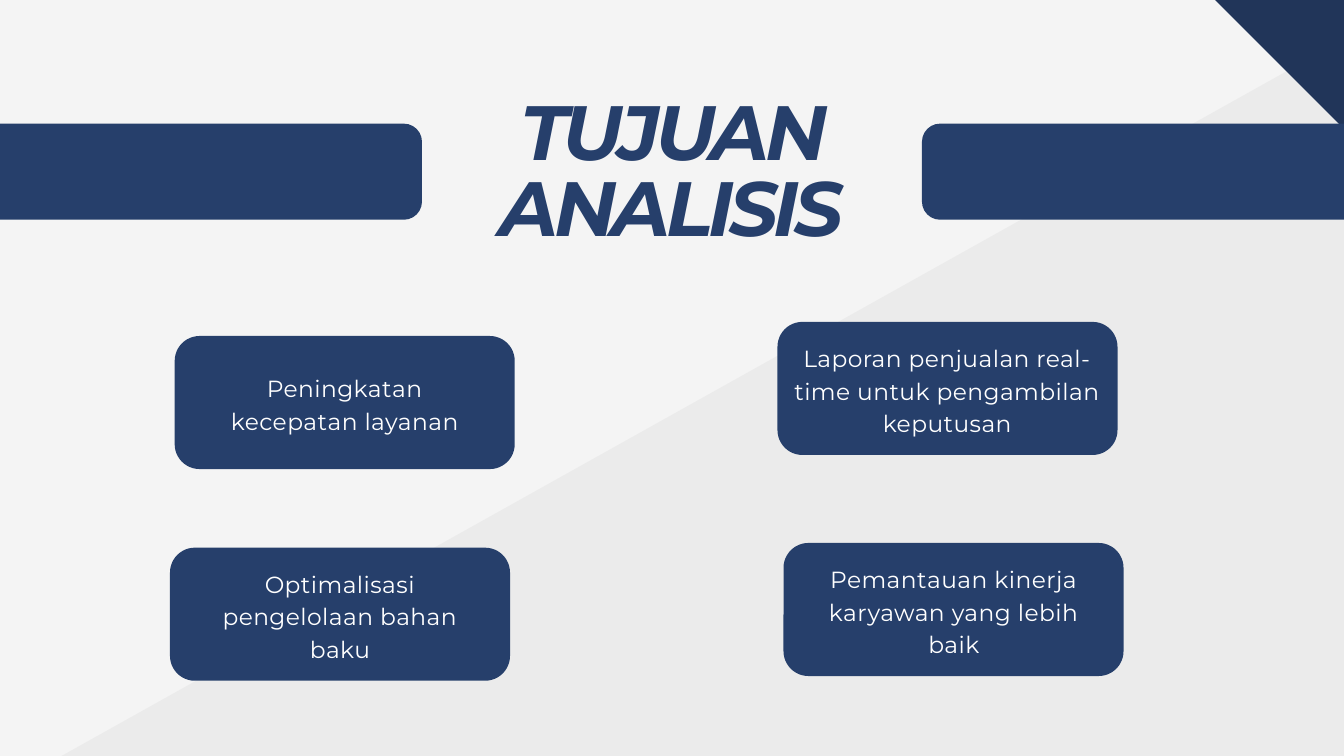
from lxml import etree
from pptx import Presentation
from pptx.dml.color import RGBColor
from pptx.enum.shapes import MSO_SHAPE
from pptx.enum.text import MSO_ANCHOR, MSO_AUTO_SIZE, PP_ALIGN
from pptx.oxml.ns import qn
from pptx.util import Inches, Pt

RECT, ROUNDED = MSO_SHAPE.RECTANGLE, MSO_SHAPE.ROUNDED_RECTANGLE
TOP, CENTER, NO_FIT = MSO_ANCHOR.TOP, PP_ALIGN.CENTER, MSO_AUTO_SIZE.NONE
COLORS = {"page": "F4F4F4", "shade": "545454", "corner": "213559",
          "navy": "263F6B", "white": "FFFFFF"}
TITLE_FONT = {"name": "Montserrat", "size": Pt(82.4), "bold": True, "italic": True}
CARD_FONT = {"name": "Montserrat", "size": Pt(25), "bold": False, "italic": False}
FRAME = {"margin_left": 0, "margin_right": 0, "margin_top": 0, "margin_bottom": 0,
         "word_wrap": True, "auto_size": NO_FIT, "vertical_anchor": TOP}


def add_block(kind, left, top, width, height, color, rotation=0, radius=0):
    sp = s.shapes.add_shape(kind, Inches(left), Inches(top), Inches(width), Inches(height))
    sp.shadow.inherit = False
    sp.fill.solid()
    sp.fill.fore_color.rgb = RGBColor.from_string(COLORS[color])
    sp.line.fill.background()
    sp.rotation = rotation
    if radius:
        sp.adjustments[0] = radius / height
    return sp


def write_text(sp, text, font, color, line_spacing, tracking):
    tf = sp.text_frame
    for name, value in FRAME.items():
        setattr(tf, name, value)
    p = tf.paragraphs[0]
    p.alignment = CENTER
    p.line_spacing = Pt(line_spacing)
    p.space_before = Pt(0)
    r = p.add_run()
    r.text = text
    for name, value in font.items():
        setattr(r.font, name, value)
    r.font.color.rgb = RGBColor.from_string(COLORS[color])
    r._r.get_or_add_rPr().set("spc", str(tracking))


prs = Presentation()
prs.slide_width, prs.slide_height = Inches(20), Inches(11.25)
s = prs.slides.add_slide(prs.slide_layouts[5])
s.background.fill.solid()
s.background.fill.fore_color.rgb = RGBColor.from_string(COLORS["page"])

shade = add_block(RECT, -2.82, 6.22, 28.2, 10.48, "shade", rotation=330.8)
shade_color = shade.fill._xPr.find(qn("a:solidFill"))[0]
etree.SubElement(shade_color, qn("a:alpha")).set("val", "5000")
add_block(RECT, 17.11, -1.36, 5.79, 2.72, "corner", rotation=45)

for left in (-2.75, 13.72):
    add_block(ROUNDED, left, 1.84, 9.03, 1.43, "navy", radius=0.27)

title = s.shapes.title
title.left, title.top = Inches(6.75), Inches(1.5)
title.width, title.height = Inches(6.49), Inches(2.29)
write_text(title, "TUJUAN ANALISIS", TITLE_FONT, "navy", 80.7, -480)

cards = [
    (2.6, 5, "Peningkatan kecepatan layanan", 3.04, 5.5, 4.18, 0.93),
    (2.53, 8.15, "Optimalisasi pengelolaan bahan baku", 2.97, 8.41, 4.18, 1.41),
    (11.66, 8.08, "Pemantauan kinerja karyawan yang lebih baik", 12.11, 8.34, 4.17, 1.41),
    (11.57, 4.79, "Laporan penjualan real-time untuk pengambilan keputusan",
     11.74, 5.05, 4.71, 1.41),
]
for left, top, text, *box in cards:
    add_block(ROUNDED, left, top, 5.06, 1.98, "navy", radius=0.37)
    label = s.shapes.add_textbox(*map(Inches, box))
    write_text(label, text, CARD_FONT, "white", 35, 50)

prs.save("out.pptx")
